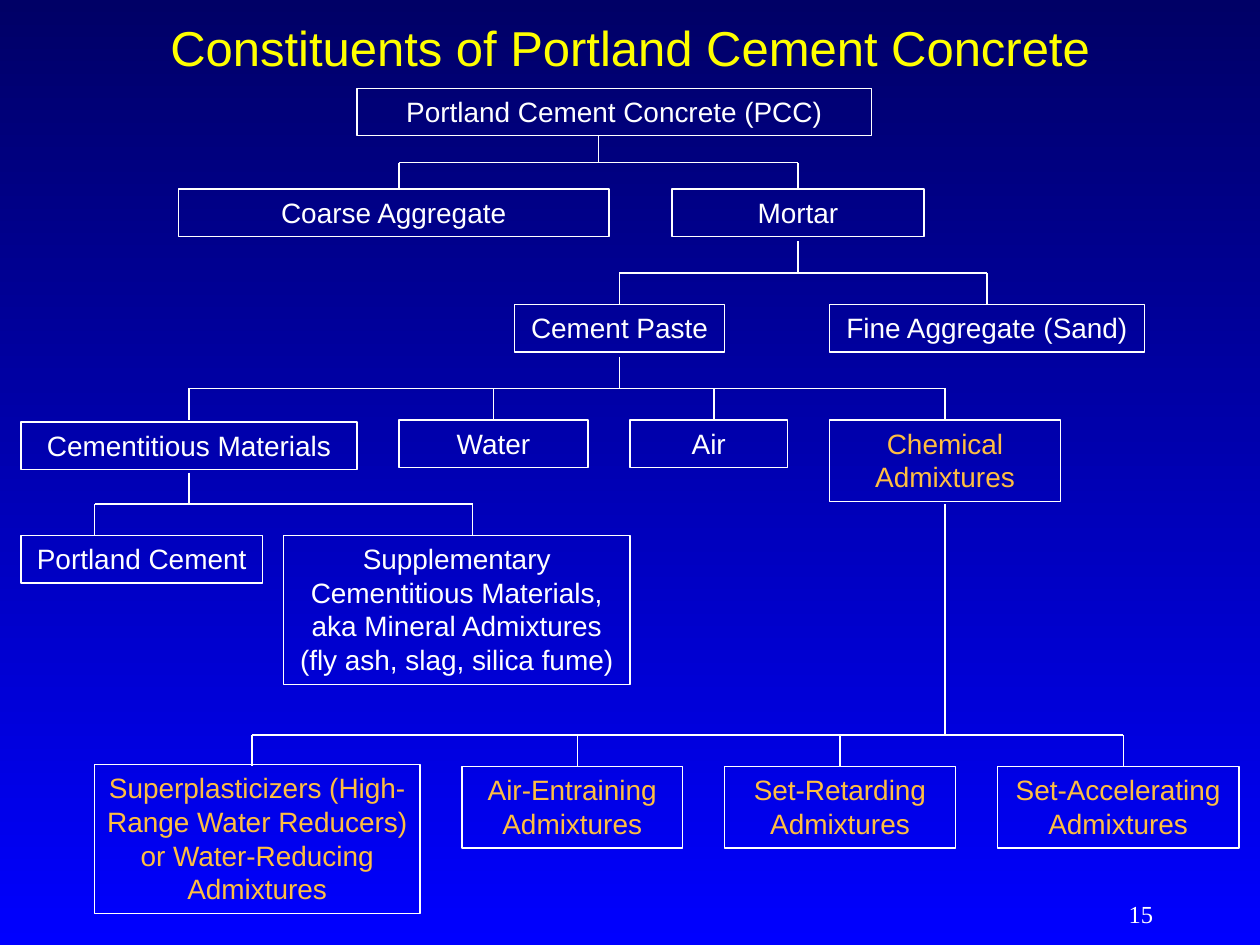
from dataclasses import dataclass

import pptx
import pptx.dml.color
import pptx.enum.shapes
import pptx.enum.text
import pptx.oxml.ns
import pptx.slide
import pptx.text.text
import pptx.util
from lxml import etree

Pt = pptx.util.Pt
RGBColor = pptx.dml.color.RGBColor
PP_ALIGN = pptx.enum.text.PP_ALIGN
MSO_ANCHOR = pptx.enum.text.MSO_ANCHOR

NAVY = RGBColor(0x00, 0x00, 0x66)
BLUE = RGBColor(0x00, 0x00, 0xFF)
WHITE = RGBColor(0xFF, 0xFF, 0xFF)
YELLOW = RGBColor(0xFF, 0xFF, 0x00)
ORANGE = RGBColor(0xFF, 0xBE, 0x40)

LINE_WIDTH = 0.75
BOX_HEIGHTS = {1: 27.2, 2: 46.6, 4: 85}  # by number of text lines


@dataclass(frozen=True)
class Constituent:
    text: str
    left: float
    top: float
    width: float
    lines: int = 1
    color: RGBColor = WHITE


@dataclass(frozen=True)
class Branch:
    """A stem from a parent to a rail, with a drop to each child."""
    stem_x: float
    stem_top: float
    rail_y: float
    drop_bottom: float
    drops: tuple[float, ...]


CONSTITUENTS = (
    Constituent("Portland Cement Concrete (PCC)", 204, 50.4, 294),
    Constituent("Coarse Aggregate", 102, 108, 246),
    Constituent("Mortar", 384, 108, 144),
    Constituent("Cement Paste", 294, 174, 120),
    Constituent("Fine Aggregate (Sand)", 474, 174, 180),
    Constituent("Cementitious Materials", 12, 241.2, 192),
    Constituent("Water", 228, 240, 108),
    Constituent("Air", 360, 240, 90),
    Constituent("Chemical Admixtures", 474, 240, 132, 2, ORANGE),
    Constituent("Portland Cement", 12, 306, 138),
    Constituent(
        "Supplementary\nCementitious Materials,\naka Mineral Admixtures\n"
        "(fly ash, slag, silica fume)", 162, 306, 198, 4),
    Constituent(
        "Superplasticizers (High-Range Water Reducers) or "
        "Water-Reducing Admixtures", 54, 437, 186, 4, ORANGE),
    Constituent("Air-Entraining Admixtures", 264, 438, 126, 2, ORANGE),
    Constituent("Set-Retarding Admixtures", 414, 438, 132, 2, ORANGE),
    Constituent("Set-Accelerating Admixtures", 570, 438, 138, 2, ORANGE),
)

BRANCHES = (
    Branch(342, 78, 93, 108, (228, 456)),
    Branch(456, 138, 156, 174, (354, 564)),
    Branch(354, 204, 222, 240, (108, 282, 408, 540)),
    Branch(108, 270, 288, 306, (54, 270)),
    Branch(540, 288, 420, 438, (144, 330, 480, 642)),
)


def write_text(frame: pptx.text.text.TextFrame, text: str, size: float,
               color: RGBColor, font: str = "Arial",
               align: PP_ALIGN = PP_ALIGN.CENTER,
               anchor: MSO_ANCHOR = MSO_ANCHOR.MIDDLE) -> None:
    frame.text = text
    frame.word_wrap = True
    frame.vertical_anchor = anchor
    for para in frame.paragraphs:
        para.alignment = align
        for span in para.runs:
            span.font.name = font
            span.font.size = Pt(size)
            span.font.color.rgb = color


def draw_constituent(page: pptx.slide.Slide, item: Constituent) -> None:
    box = page.shapes.add_shape(
        pptx.enum.shapes.MSO_SHAPE.RECTANGLE, Pt(item.left), Pt(item.top),
        Pt(item.width), Pt(BOX_HEIGHTS[item.lines]))
    box.shadow.inherit = False
    box.fill.background()
    box.line.color.rgb = WHITE
    box.line.width = Pt(LINE_WIDTH)
    write_text(box.text_frame, item.text, 16, item.color,
               anchor=MSO_ANCHOR.TOP)


def draw_line(page: pptx.slide.Slide, x1: float, y1: float,
              x2: float, y2: float) -> None:
    line = page.shapes.add_connector(
        pptx.enum.shapes.MSO_CONNECTOR.STRAIGHT,
        Pt(x1), Pt(y1), Pt(x2), Pt(y2))
    line.line.color.rgb = WHITE
    line.line.width = Pt(LINE_WIDTH)
    properties = line.element.find(pptx.oxml.ns.qn("p:spPr"))
    etree.SubElement(properties, pptx.oxml.ns.qn("a:effectLst"))


def draw_branch(page: pptx.slide.Slide, branch: Branch) -> None:
    draw_line(page, branch.stem_x, branch.stem_top,
              branch.stem_x, branch.rail_y)
    draw_line(page, branch.drops[0], branch.rail_y,
              branch.drops[-1], branch.rail_y)
    for x in branch.drops:
        draw_line(page, x, branch.rail_y, x, branch.drop_bottom)


def paint_background(page: pptx.slide.Slide) -> None:
    fill = page.background.fill
    fill.gradient()
    fill.gradient_angle = 270
    for stop, color, position in zip(fill.gradient_stops, (NAVY, BLUE), (0, 1)):
        stop.color.rgb = color
        stop.position = position


def main() -> None:
    deck = pptx.Presentation()
    deck.slide_width, deck.slide_height = Pt(720), Pt(540)
    page = deck.slides.add_slide(deck.slide_layouts[6])
    paint_background(page)

    title = page.shapes.add_textbox(Pt(36), Pt(6), Pt(648), Pt(42))
    write_text(title.text_frame, "Constituents of Portland Cement Concrete",
               28, YELLOW)
    for item in CONSTITUENTS:
        draw_constituent(page, item)
    for branch in BRANCHES:
        draw_branch(page, branch)
    number = page.shapes.add_textbox(Pt(516), Pt(504), Pt(150), Pt(36))
    write_text(number.text_frame, "15", 14, WHITE, "Times New Roman",
               PP_ALIGN.RIGHT)

    deck.save("out.pptx")


if __name__ == "__main__":
    main()
